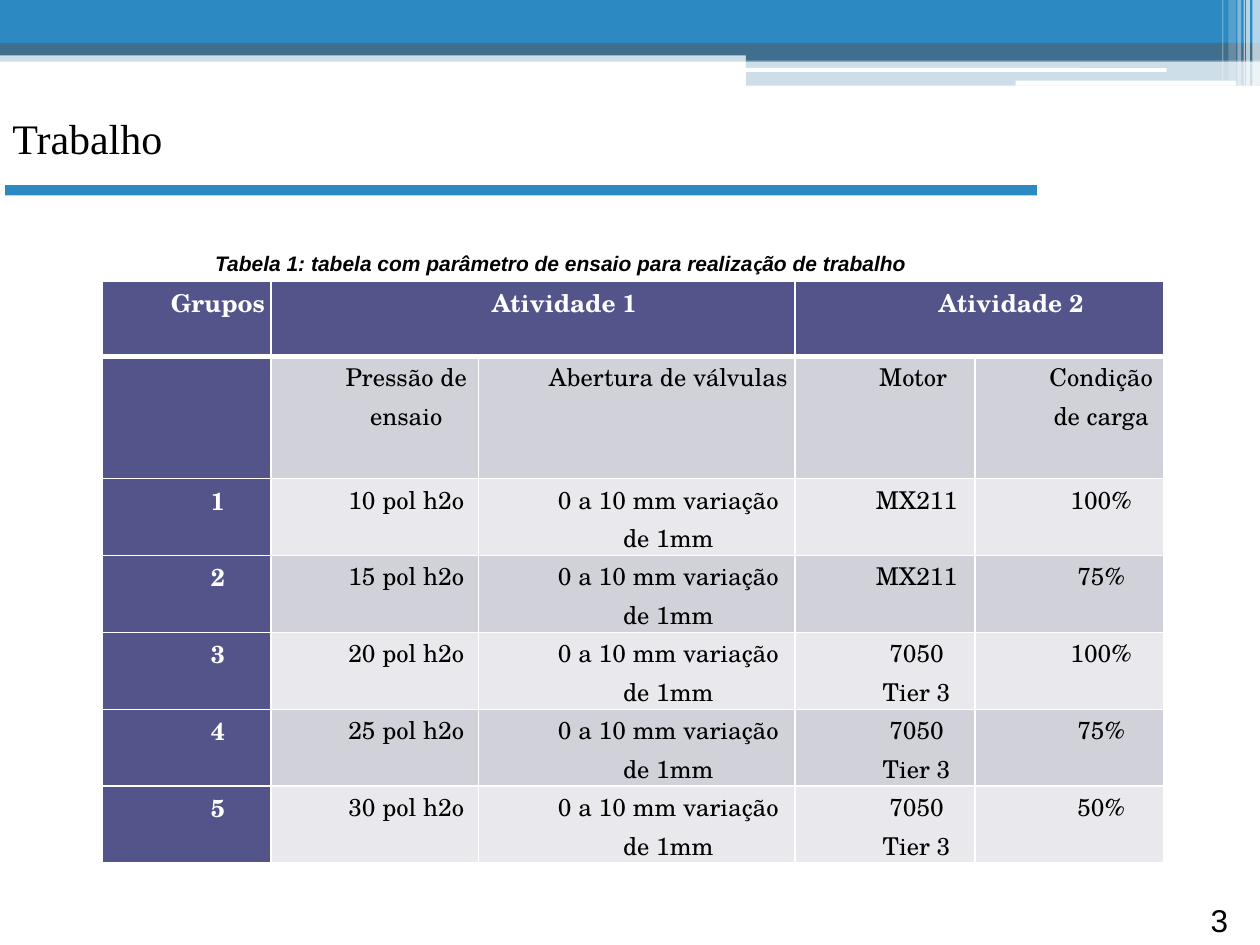
from pptx import Presentation
from pptx.dml.color import RGBColor
from pptx.enum.shapes import MSO_SHAPE as Shape
from pptx.enum.text import MSO_ANCHOR as Anchor, PP_ALIGN as Align
from pptx.oxml.ns import qn
from pptx.util import Inches, Pt
from lxml.etree import SubElement

COLUMNS, ROWS = 100, 75  # slide grid, ten cells to the inch


def color(value):
    return RGBColor.from_string(value)


class SlideBuilder:
    BLUE, STEEL, PALE = "2C89C2", "406F8D", "9DBED3"
    WHITE, BLACK = "FFFFFF", "000000"
    HEAD, BANDS = "53548A", ("D1D1DA", "E9E9ED")
    TABLE_FONT, TABLE_SIZE = "TeX Gyre Schola", 14

    def __init__(self, presentation):
        self.slide = presentation.slides.add_slide(presentation.slide_layouts[6])
        self.column = presentation.slide_width / COLUMNS
        self.row = presentation.slide_height / ROWS

    def place(self, left, top, width, height):
        return (round(left * self.column), round(top * self.row),
                round(width * self.column), round(height * self.row))

    def bar(self, box, fill, opacity=100, kind=Shape.RECTANGLE):
        shape = self.slide.shapes.add_shape(kind, *self.place(*box))
        shape.shadow.inherit = False
        shape.line.fill.background()
        shape.fill.solid()
        shape.fill.fore_color.rgb = color(fill)
        if opacity < 100:
            tint = shape.element.spPr.find(qn("a:solidFill"))[0]
            SubElement(tint, qn("a:alpha"), val=str(opacity * 1000))

    def run(self, paragraph, text, font, size, ink=BLACK, bold=False, italic=False):
        run = paragraph.add_run()
        run.text = text
        run.font.name, run.font.size = font, Pt(size)
        run.font.bold, run.font.italic = bold, italic
        run.font.color.rgb = color(ink)

    def text(self, box, runs, size, anchor=Anchor.TOP, **style):
        frame = self.slide.shapes.add_textbox(*self.place(*box)).text_frame
        frame.word_wrap = True
        frame.vertical_anchor = anchor
        for words, font in runs:
            self.run(frame.paragraphs[0], words, font, size, **style)

    def borders(self, cell, **widths):
        properties = cell._tc.get_or_add_tcPr()
        for side in "LRTB":
            line = SubElement(properties, qn("a:ln" + side), w=str(Pt(widths.get(side, 1))))
            fill = SubElement(line, qn("a:solidFill"))
            SubElement(fill, qn("a:srgbClr"), val=self.WHITE)

    def cell(self, cell, text, fill, heading, last, **widths):
        self.borders(cell, **widths)
        cell.fill.solid()
        cell.fill.fore_color.rgb = color(fill)
        cell.margin_left = cell.margin_right = Inches(0.04)
        cell.margin_top = cell.margin_bottom = 0
        if text:
            paragraph = cell.text_frame.paragraphs[0]
            paragraph.alignment = Align.CENTER
            paragraph.line_spacing = 1.07
            if last:
                paragraph.space_after = Pt(8)
            paragraph._p.get_or_add_pPr().set("marL", str(Inches(0.5)))
            self.run(paragraph, text, self.TABLE_FONT, self.TABLE_SIZE,
                     self.WHITE if heading else self.BLACK, bold=heading)

    def table(self, left, top, widths, heights, data, merges):
        box = self.place(left, top, sum(widths), sum(heights))
        table = self.slide.shapes.add_table(len(heights), len(widths), *box).table
        table.horz_banding = table.first_row = False
        for column, width in zip(table.columns, widths):
            column.width = round(width * self.column)
        for row, height in zip(table.rows, heights):
            row.height = round(height * self.row)
        for first, last in merges:
            table.cell(0, first).merge(table.cell(0, last))
        # A heavier rule parts the header from the body
        rules = {0: {"B": 3}, 1: {"T": 3}}
        for r, values in enumerate(data):
            for c, value in enumerate(values):
                heading = r == 0 or c == 0
                fill = self.HEAD if heading else self.BANDS[(r - 1) % 2]
                last = c == len(widths) - 1 or (r == 0 and c == merges[-1][0])
                self.cell(table.cell(r, c), value, fill, heading, last, **rules.get(r, {}))


def main():
    presentation = Presentation()
    presentation.slide_width, presentation.slide_height = Inches(10), Inches(7.5)
    builder = SlideBuilder(presentation)

    # Top band
    builder.bar((0, 4, 100, 0.9), builder.PALE, 50)
    builder.bar((0, 0, 100, 3.4), builder.BLUE)
    builder.bar((0, 3.4, 100, 1), builder.STEEL)
    builder.bar((59.2, 3.9, 40.8, 1), builder.STEEL)
    builder.bar((59.2, 4.8, 40.8, 2), builder.PALE, 50)
    for box in ((59.1, 5.4, 33.5, 0.3), (80.6, 6.4, 17.5, 0.4)):
        builder.bar(box, builder.WHITE, kind=Shape.ROUNDED_RECTANGLE)

    # Vertical light stripes: left, width, height, opacity
    for left, width, height, opacity in (
            (99.4, 0.6, 6.8, 65), (98.9, 0.3, 6.8, 65), (98.7, 0.1, 6.8, 60),
            (98.2, 0.3, 6.8, 40), (97.5, 0.6, 6.4, 20), (97, 0.1, 6.4, 30)):
        builder.bar((left, 0, width, height), builder.WHITE, opacity)

    # Title, rule and page number
    builder.bar((0.4, 14.7, 81.9, 0.8), builder.BLUE)
    builder.text((95.1, 71, 4.9, 4), [("3", "Arial")], 18)
    builder.text((0, 8.4, 92.4, 5), [("Trabalho", "Times New Roman")], 24)

    # Test parameters
    tests = [("10 pol h2o", "MX211", "100%"), ("15 pol h2o", "MX211", "75%"),
             ("20 pol h2o", "7050 Tier 3", "100%"), ("25 pol h2o", "7050 Tier 3", "75%"),
             ("30 pol h2o", "7050 Tier 3", "50%")]
    data = [("Grupos", "Atividade 1", "", "Atividade 2", ""),
            ("", "Pressão de ensaio", "Abertura de válvulas", "Motor ", "Condição de carga")]
    for group, (pressure, engine, load) in enumerate(tests, 1):
        data.append((str(group), pressure, "0 a 10 mm variação de 1mm", engine, load))
    builder.table(8.1, 22.3, (13.4, 16.5, 25.1, 14.3, 15), [6, 9.7] + [6.1] * len(tests),
                  data, merges=((1, 2), (3, 4)))

    # Table caption
    builder.text((16.1, 19.4, 80, 3),
                 [("Tabela 1: tabela com parâmetro de ensaio para realiza", "Arial"),
                  ("ç", "Calibri"), ("ão de trabalho", "Arial")],
                 12, Anchor.MIDDLE, bold=True, italic=True)

    presentation.save("out.pptx")


if __name__ == "__main__":
    main()
